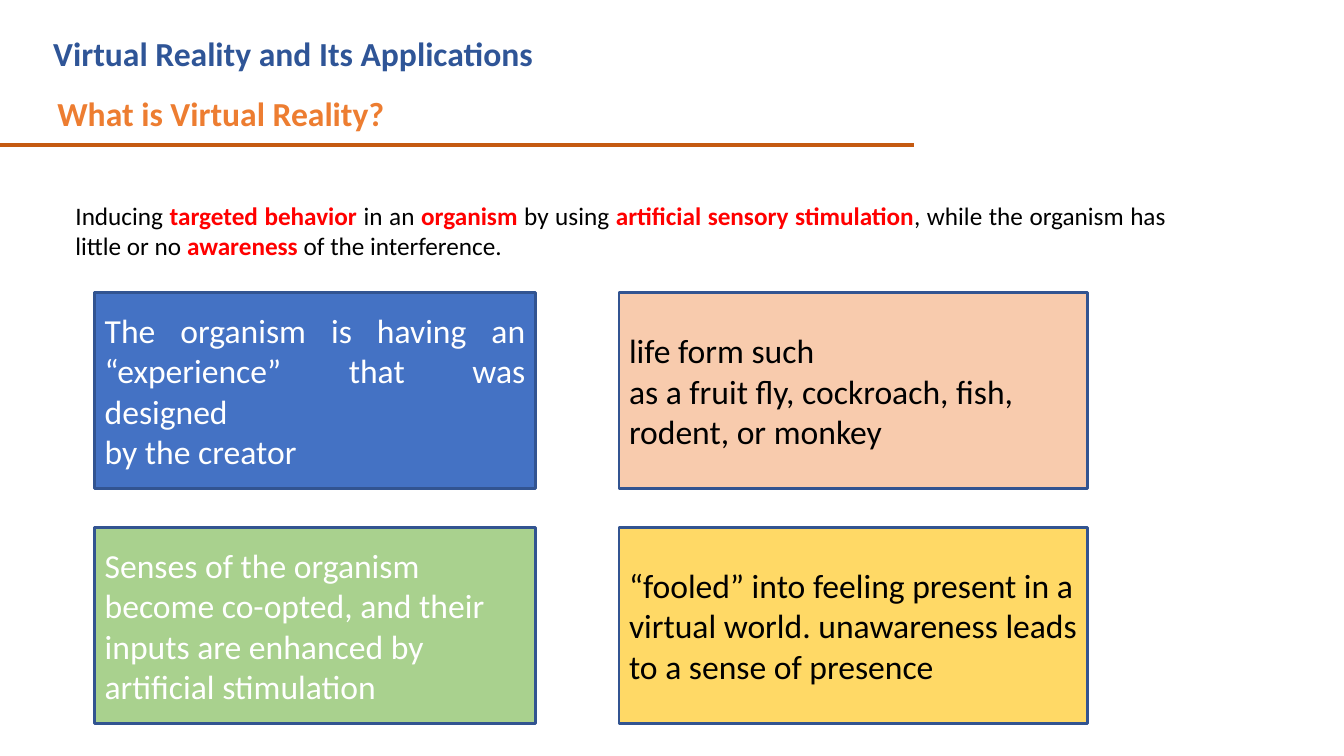
from lxml import etree
from pptx import Presentation
from pptx.dml.color import RGBColor
from pptx.enum.shapes import MSO_CONNECTOR, MSO_SHAPE
from pptx.enum.text import MSO_ANCHOR, MSO_AUTO_SIZE, PP_ALIGN
from pptx.oxml.ns import qn
from pptx.util import Inches, Pt

STRAIGHT = MSO_CONNECTOR.STRAIGHT
RECTANGLE = MSO_SHAPE.RECTANGLE
MIDDLE = MSO_ANCHOR.MIDDLE
GROW = MSO_AUTO_SIZE.SHAPE_TO_FIT_TEXT
LEFT, JUSTIFY = PP_ALIGN.LEFT, PP_ALIGN.JUSTIFY

COLORS = {
    "title": "2F5597", "subtitle": "ED7D31", "rule": "C55A11",
    "black": "000000", "white": "FFFFFF", "key": "FF0000", "border": "325491",
    "blue": "4472C4", "peach": "F8CBAD", "green": "A9D18E", "yellow": "FFD966",
}

DEFINITION = [
    ("Inducing ", False), ("targeted behavior ", True), ("in an ", False),
    ("organism", True), (" by using ", False),
    ("artificial sensory stimulation", True),
    (", while the organism has little or no ", False),
    ("awareness", True), (" of the interference.", False),
]

CARDS = [
    ("blue", "white", JUSTIFY,
     ["The organism is having an “experience” that was designed",
      "by the creator"]),
    ("peach", "black", LEFT,
     ["life form such", "as a fruit fly, cockroach, fish, rodent, or monkey"]),
    ("green", "white", LEFT,
     ["Senses of the organism become co-opted, and their",
      "inputs are enhanced by artificial stimulation"]),
    ("yellow", "black", LEFT,
     ["“fooled” into feeling present in a virtual world. "
      "unawareness leads to a sense of presence"]),
]


def color(name):
    """Return the named colour."""
    return RGBColor.from_string(COLORS[name])


def add_run(paragraph, text, color_name, size, bold=False):
    """Append a formatted run to a paragraph."""
    run = paragraph.add_run()
    run.text = text
    formats = {"name": "Calibri", "size": Pt(size), "bold": bold}
    for attribute, value in formats.items():
        setattr(run.font, attribute, value)
    run.font.color.rgb = color(color_name)


def add_text(slide, box, runs, size, align=LEFT, wrap=True):
    """Place one paragraph of (text, colour, bold) runs in a text box."""
    frame = slide.shapes.add_textbox(*map(Inches, box)).text_frame
    for attribute, value in {"word_wrap": wrap, "auto_size": GROW}.items():
        setattr(frame, attribute, value)
    paragraph = frame.paragraphs[0]
    paragraph.alignment = align
    for text, color_name, bold in runs:
        add_run(paragraph, text, color_name, size, bold)


def add_heading(slide, box):
    """Place the title, the subtitle and the rule that closes the heading."""
    left, top, width, height = box
    add_text(slide, (left + 0.44, top, 8.2, 0.5),
             [("Virtual Reality and Its Applications", "title", True)], 24)
    add_text(slide, (left + 0.48, top + 0.59, 4.63, 0.5),
             [("What is Virtual Reality?", "subtitle", True)], 24, wrap=False)
    bottom = top + height
    rule = slide.shapes.add_connector(
        STRAIGHT, *map(Inches, (left, bottom, left + width, bottom)))
    rule.line.color.rgb = color("rule")
    rule.line.width = Pt(3)
    etree.SubElement(rule._element.spPr, qn("a:effectLst"))


def add_definition(slide, box):
    """Place the definition with its key terms in bold red."""
    runs = [(text, "key" if is_key else "black", is_key)
            for text, is_key in DEFINITION]
    add_text(slide, box, runs, 18, JUSTIFY)


def add_card(slide, box, fill, ink, align, lines):
    """Place one bordered card of text."""
    card = slide.shapes.add_shape(RECTANGLE, *map(Inches, box))
    card.shadow.inherit = False
    card.fill.solid()
    card.fill.fore_color.rgb = color(fill)
    card.line.color.rgb = color("border")
    card.line.width = Pt(2)
    frame = card.text_frame
    for attribute, value in {"word_wrap": True, "vertical_anchor": MIDDLE}.items():
        setattr(frame, attribute, value)
    for index, line in enumerate(lines):
        paragraph = frame.add_paragraph() if index else frame.paragraphs[0]
        paragraph.alignment = align
        add_run(paragraph, line, ink, 24)


def add_card_grid(slide, box):
    """Place the cards in two rows of two that fill the box."""
    left, top, width, height = box
    card_height, left_width, right_width = 1.95, 4.37, 4.65
    columns = [(left, left_width), (left + width - right_width, right_width)]
    for index, card in enumerate(CARDS):
        row, column = divmod(index, 2)
        card_left, card_width = columns[column]
        card_top = top + row * (height - card_height)
        add_card(slide, (card_left, card_top, card_width, card_height), *card)


def main():
    """Build and save the slide."""
    presentation = Presentation()
    presentation.slide_width = Inches(13.33)
    presentation.slide_height = Inches(7.5)
    slide = presentation.slides.add_slide(presentation.slide_layouts[6])
    add_heading(slide, (-0.01, 0.28, 9.08, 1.16))
    add_definition(slide, (0.65, 1.94, 11.01, 0.7))
    add_card_grid(slide, (0.94, 2.9, 9.85, 4.28))
    presentation.save("out.pptx")


if __name__ == "__main__":
    main()
